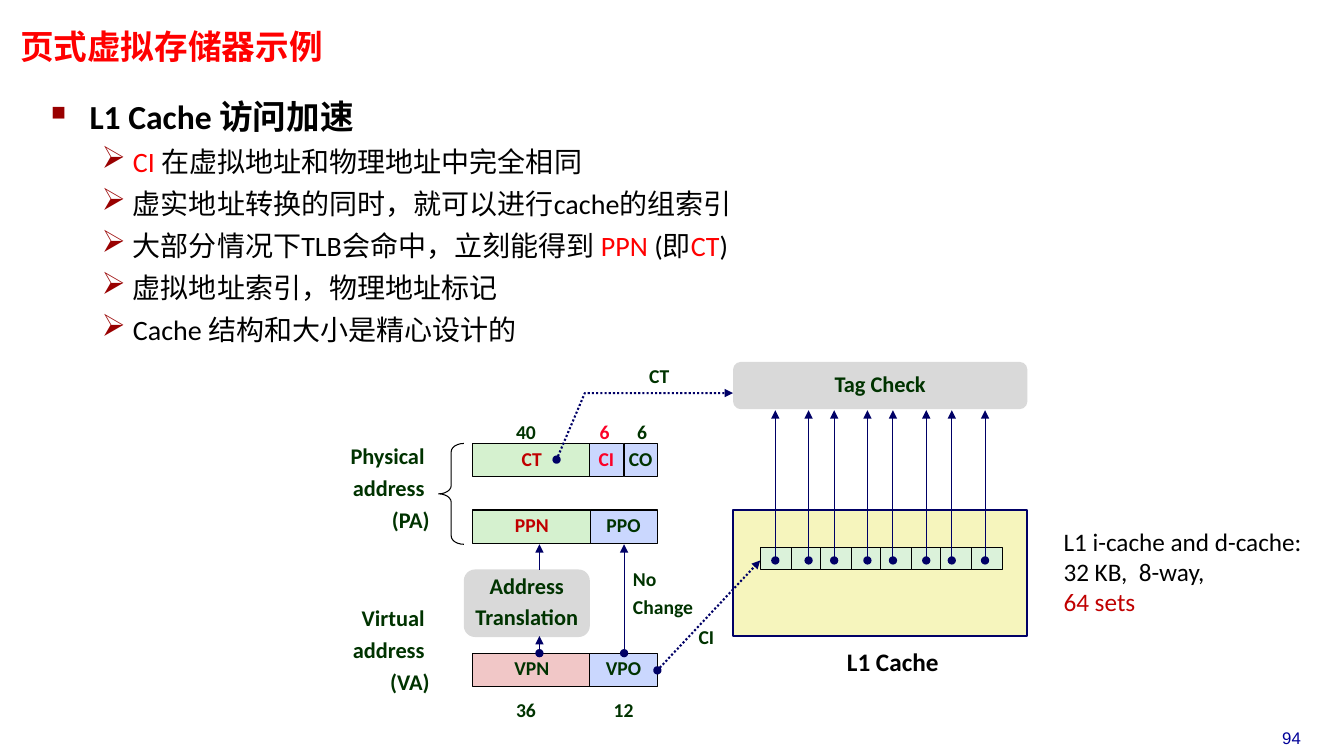
from lxml import etree
from pptx import Presentation
from pptx.dml.color import RGBColor
from pptx.enum.dml import MSO_LINE
from pptx.enum.shapes import MSO_CONNECTOR, MSO_SHAPE as Kind
from pptx.enum.text import MSO_ANCHOR, PP_ALIGN as Align
from pptx.oxml.ns import qn
from pptx.util import Inches, Pt

BLACK = RGBColor(0, 0, 0)
RED = RGBColor(0xFF, 0, 0)
DARK = RGBColor(0xC0, 0, 0)
PINK = RGBColor(0xFC, 0x01, 0x28)
MAROON = "990000"
TEXT = RGBColor(0, 0x33, 0)
NAVY = RGBColor(0, 0, 0x66)
BLUE = RGBColor(0, 0, 0x99)
GRAY = RGBColor(0xD9, 0xD9, 0xD9)
GREEN = RGBColor(0xD5, 0xF1, 0xCF)
MINT = RGBColor(0xDB, 0xF2, 0xDA)
SKY = RGBColor(0xCA, 0xD7, 0xFE)
ROSE = RGBColor(0xF1, 0xC7, 0xC7)
CREAM = RGBColor(0xF6, 0xF5, 0xBD)

deck = Presentation()
deck.slide_width = Inches(13.33)
deck.slide_height = Inches(7.5)
slide = deck.slides.add_slide(deck.slide_layouts[6])
shapes = slide.shapes


def put(spot, text="", size=14, color=TEXT, align=Align.CENTER, bold=True,
        face="Calibri", pitch=0.88, gap=5.2, wrap=False,
        fill=None, edge=None, width=0.75, kind=Kind.RECTANGLE):
    area = [Inches(v) for v in spot]
    if fill is None:
        shape = shapes.add_textbox(*area)
    else:
        shape = shapes.add_shape(kind, *area)
        shape.shadow.inherit = False
        shape.fill.solid()
        shape.fill.fore_color.rgb = fill
        if edge is None:
            shape.line.fill.background()
        else:
            shape.line.color.rgb = edge
            shape.line.width = Pt(width)
    frame = shape.text_frame
    frame.word_wrap = wrap
    frame.vertical_anchor = MSO_ANCHOR.TOP if fill is None else MSO_ANCHOR.MIDDLE
    for row, line in enumerate(text.split("\n") if text else []):
        para = frame.add_paragraph() if row else frame.paragraphs[0]
        para.add_run().text = line
        para.alignment = align
        para.line_spacing = pitch
        if row:
            para.space_before = Pt(gap)
        para.font.size = Pt(size)
        para.font.name = face
        para.font.bold = bold
        para.font.color.rgb = color
    return shape


def ends(shape, oval=True, dots=False):
    shape.line.color.rgb = NAVY
    shape.line.width = Pt(1.5 if dots else 0.75)
    if dots:
        shape.line.dash_style = MSO_LINE.ROUND_DOT
    props = shape._element.spPr
    line = props.find(qn("a:ln"))
    if oval:
        etree.SubElement(line, qn("a:headEnd"), type="oval")
    etree.SubElement(line, qn("a:tailEnd"), type="triangle")
    etree.SubElement(props, qn("a:effectLst"))


put((12.34, 7.17, 0.94, 0.3), "94", 12, BLUE, bold=False, face="Arial", pitch=1, wrap=True)
title = put((0.13, 0.28, 5.75, 0.41), "页式虚拟存储器示例", 24, RED, Align.LEFT,
            face="Noto Sans Mono", pitch=0.87, wrap=True)
frame = title.text_frame
frame.margin_left = frame.margin_right = Inches(0.07)
frame.margin_top = frame.margin_bottom = Inches(0.03)

points = [
    [("L1 Cache 访问加速", BLACK)],
    [("CI ", RED), ("在虚拟地址和物理地址中完全相同", BLACK)],
    [("虚实地址转换的同时，就可以进行cache的组索引", BLACK)],
    [("大部分情况下TLB会命中，立刻能得到 ", BLACK), ("PPN", RED), (" (即", BLACK),
     ("CT", RED), (")", BLACK)],
    [("虚拟地址索引，物理地址标记", BLACK)],
    [("Cache 结构和大小是精心设计的", BLACK)],
]
body = put((0.41, 0.9, 9.35, 2.56), wrap=True).text_frame
for row, runs in enumerate(points):
    para = body.add_paragraph() if row else body.paragraphs[0]
    left, hang, mark, scale = (0.81, 0.31, "➢", 110) if row else (0.38, 0.38, "■", 60)
    para.level = 1 if row else 0
    props = para._p.get_or_add_pPr()
    props.set("marL", str(Inches(left)))
    props.set("indent", str(-Inches(hang)))
    tint = etree.SubElement(props, qn("a:buClr"))
    etree.SubElement(tint, qn("a:srgbClr"), val=MAROON)
    etree.SubElement(props, qn("a:buSzPct"), val=str(scale * 1000))
    etree.SubElement(props, qn("a:buChar"), char=mark)
    if row:
        para.space_before = Pt(6)
    para.font.size = Pt(20 if row else 24)
    para.font.name = "Calibri"
    para.font.bold = row == 0
    for words, color in runs:
        run = para.add_run()
        run.text = words
        run.font.color.rgb = color

for spot, text in [((1.63, 4.37, 2.73, 0.98), "Physical \naddress \n(PA)"),
                   ((3.19, 5.98, 1.17, 0.98), "Virtual \naddress \n(VA)")]:
    put(spot, text, 16, align=Align.RIGHT, gap=6, wrap=True)

fields = [
    (4.69, 4.4, 1.17, "CT", DARK, GREEN),
    (6.19, 4.4, 0.33, "CO", TEXT, SKY),
    (5.85, 4.4, 0.33, "CI", PINK, SKY),
    (4.69, 6.48, 1.17, "VPN", TEXT, ROSE),
    (5.85, 6.48, 0.67, "VPO", TEXT, SKY),
    (5.85, 5.06, 0.67, "PPO", TEXT, SKY),
    (4.69, 5.06, 1.17, "PPN", DARK, GREEN),
]
for x, y, w, text, color, fill in fields:
    put((x, y, w, 0.33), text, color=color, fill=fill, edge=BLACK)

brace = shapes.add_shape(Kind.LEFT_BRACE, Inches(4.35), Inches(4.4), Inches(0.25), Inches(1))
brace.adjustments[0] = 0.33
brace.shadow.inherit = False
brace.fill.background()
brace.line.color.rgb = BLACK
brace.line.width = Pt(0.75)

put((4.6, 5.65, 1.25, 0.67), "Address\nTranslation", 16, fill=GRAY, kind=Kind.ROUNDED_RECTANGLE)
put((7.27, 5.06, 2.92, 1.25), fill=CREAM, edge=NAVY, width=1.5)

labels = [
    (5.02, 4.15, 0.4, 0.31, "40", TEXT),
    (6.22, 4.15, 0.3, 0.31, "6", TEXT),
    (5.85, 4.15, 0.3, 0.31, "6", PINK),
    (5.02, 6.9, 0.4, 0.31, "36", TEXT),
    (6.18, 5.61, 0.8, 0.58, "No\nChange", TEXT),
    (6.83, 6.18, 0.36, 0.31, "CI", TEXT),
    (6.34, 3.59, 0.4, 0.31, "CT", TEXT),
]
for x, y, w, h, text, color in labels:
    put((x, y, w, h), text, color=color, align=Align.LEFT)
put((5.85, 6.9, 0.67, 0.31), "12", wrap=True)
put((8.19, 6.41, 1.33, 0.36), "L1 Cache", 18, BLACK, pitch=0.85, wrap=True)

for way in range(8):
    pair, odd = divmod(way, 2)
    put((7.54 + pair * 2.38 / 4 + odd * 0.31, 5.43, 0.31, 0.22), fill=MINT, edge=BLACK, width=1)

links = [
    (5.35, 6.48, 5.35, 6.31, True, False),
    (5.35, 5.65, 5.35, 5.4, False, False),
    (6.19, 6.48, 6.19, 5.4, True, False),
    (6.52, 6.65, 7.54, 5.56, True, True),
]
for way in range(8):
    pair, odd = divmod(way, 2)
    x = 7.69 + pair * 1.75 / 3 + odd * 0.33
    links.append((x, 5.56, x, 4.07, True, False))
for *spot, oval, dots in links:
    ends(shapes.add_connector(MSO_CONNECTOR.STRAIGHT, *[Inches(v) for v in spot]), oval, dots)

pen = shapes.build_freeform(Inches(5.52), Inches(4.56))
pen.add_line_segments([(Inches(5.8), Inches(3.9)), (Inches(7.27), Inches(3.9))], close=False)
bend = pen.convert_to_shape()
bend.fill.background()
ends(bend, dots=True)

put((7.27, 3.59, 2.92, 0.47), "Tag Check", 16, fill=GRAY, kind=Kind.ROUNDED_RECTANGLE)
note = put((10.45, 5.17, 2.66, 1.01), "L1 i-cache and d-cache:\n32 KB,  8-way,\n64 sets", 18, BLACK,
           Align.LEFT, bold=False, pitch=1, gap=0, wrap=True)
note.text_frame.paragraphs[2].font.color.rgb = DARK

deck.save("out.pptx")
